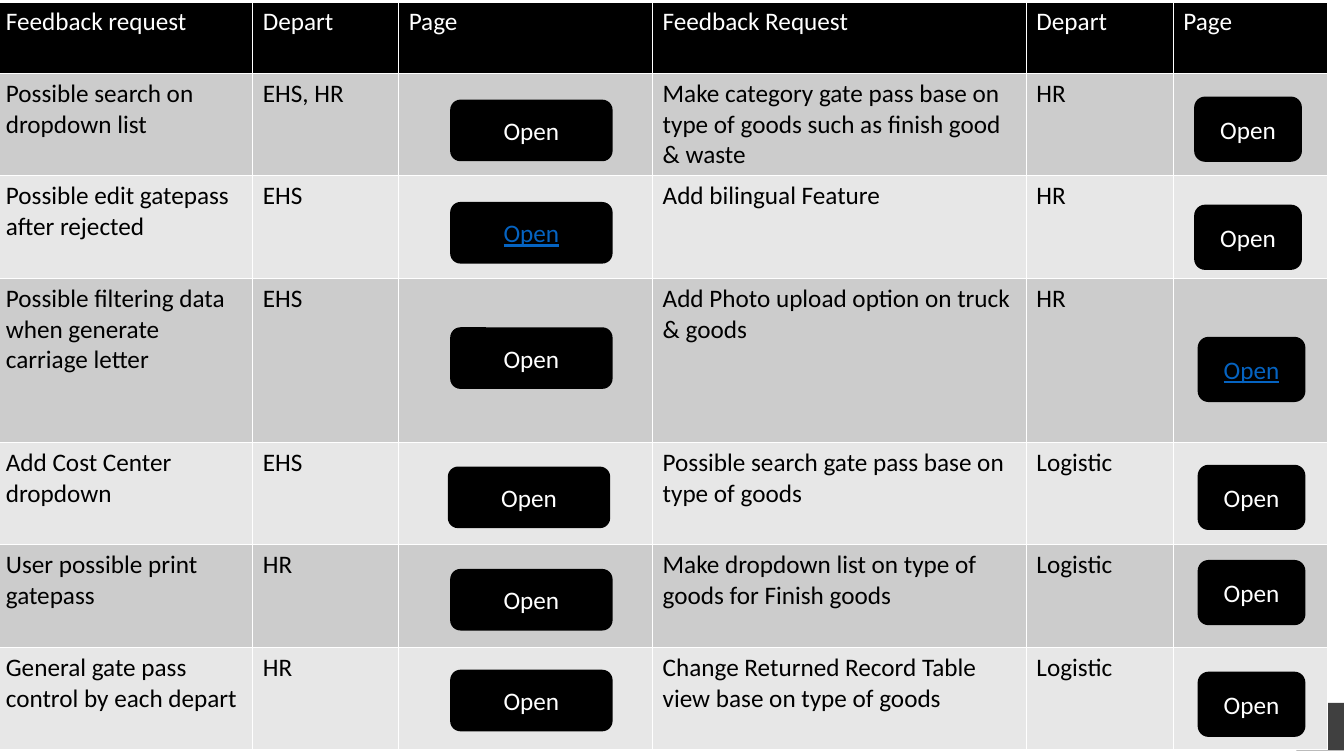
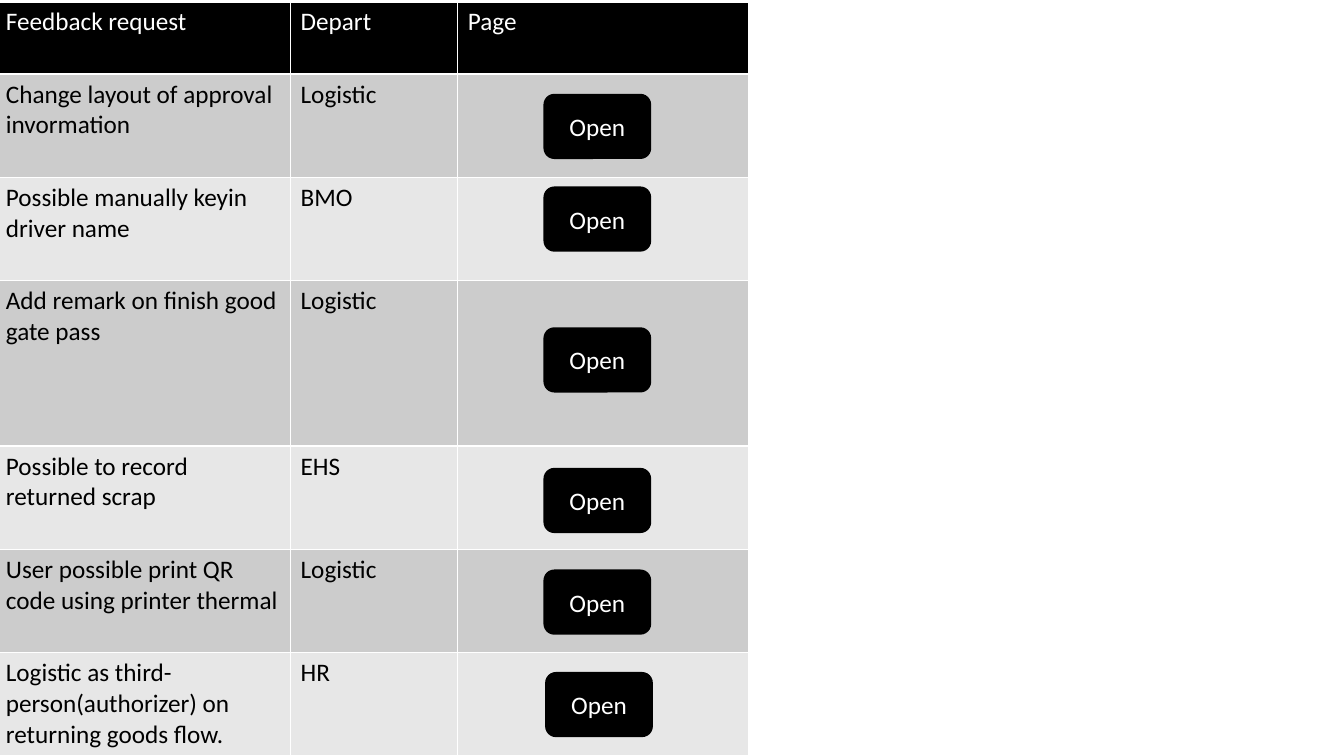
from pptx import Presentation
from pptx.dml.color import RGBColor
from pptx.enum.shapes import MSO_SHAPE
from pptx.enum.text import MSO_ANCHOR, PP_ALIGN
from pptx.util import Pt

BLACK, WHITE, LINK, GREY = "000000", "FFFFFF", "0563C1", "404040"
BANDS = ("CCCCCC", "E7E7E7")


def color(code):
    return RGBColor.from_string(code)


class Deck:
    """Holds the shared style and the slide being drawn."""

    def __init__(self):
        self.show = Presentation()
        self.show.slide_width, self.show.slide_height = Pt(960), Pt(540)
        self.font = {"name": "Calibri", "size": Pt(18), "bold": False}
        self.slide = None

    def page(self):
        self.slide = self.show.slides.add_slide(self.show.slide_layouts[6])

    def label(self, frame, text, code, **extra):
        par = frame.paragraphs[0]
        run = par.add_run()
        run.text = text
        for key, value in {**self.font, **extra}.items():
            setattr(run.font, key, value)
        run.font.color.rgb = color(code)
        return par

    def box(self, kind, left, top, width, height, code):
        shape = self.slide.shapes.add_shape(
            kind, Pt(left), Pt(top), Pt(width), Pt(height))
        shape.shadow.inherit = False
        shape.fill.solid()
        shape.fill.fore_color.rgb = color(code)
        shape.line.fill.background()
        return shape

    def button(self, left, top, width, height, link=False):
        frame = self.box(MSO_SHAPE.ROUNDED_RECTANGLE,
                         left, top, width, height, BLACK).text_frame
        frame.vertical_anchor = MSO_ANCHOR.MIDDLE
        extra = {"underline": True} if link else {}
        par = self.label(frame, "Open", LINK if link else WHITE, **extra)
        par.alignment = PP_ALIGN.CENTER

    def buttons(self, left, tops, width, height, shifts=None, link=None):
        shifts = shifts or {}
        for row, top in enumerate(tops):
            self.button(left + shifts.get(row, 0), top, width, height, row == link)

    def table(self, rows, widths, heights):
        grid = self.slide.shapes.add_table(
            len(rows), len(widths), Pt(-3), Pt(1.4),
            Pt(sum(widths)), Pt(sum(heights))).table
        for col, width in zip(grid.columns, widths):
            col.width = Pt(width)
        for num, (texts, height) in enumerate(zip(rows, heights)):
            grid.rows[num].height = Pt(height)
            back = BANDS[(num - 1) % 2] if num else BLACK
            for cell, text in zip(grid.rows[num].cells, texts):
                cell.fill.solid()
                cell.fill.fore_color.rgb = color(back)
                if text:
                    self.label(cell.text_frame, text, BLACK if num else WHITE)


def heights(head, row, tall):
    return [head, row, row, tall, row, row, row]


FIRST = [
    ("Feedback request", "Depart", "Page", "Feedback Request", "Depart", "Page"),
    ("Possible search on dropdown list", "EHS, HR", "",
     "Make category gate pass base on type of goods such as finish good & waste",
     "HR", ""),
    ("Possible edit gatepass after rejected", "EHS", "",
     "Add bilingual Feature", "HR", ""),
    ("Possible filtering data when generate carriage letter", "EHS", "",
     "Add Photo upload option on truck & goods", "HR", ""),
    ("Add Cost Center dropdown", "EHS", "",
     "Possible search gate pass base on type of goods", "Logistic", ""),
    ("User possible print gatepass", "HR", "",
     "Make dropdown list on type of goods for Finish goods", "Logistic", ""),
    ("General gate pass control by each depart", "HR", "",
     "Change Returned Record Table view base on type of goods", "Logistic", ""),
]
SECOND = [
    ("Feedback request", "Depart", "Page"),
    ("Change layout of approval invormation", "Logistic", ""),
    ("Possible manually keyin driver name", "BMO", ""),
    ("Add remark on finish good gate pass", "Logistic", ""),
    ("Possible to record returned scrap", "EHS", ""),
    ("User possible print QR code using printer thermal", "Logistic", ""),
    ("Logistic as third-person(authorizer) on returning goods flow.", "HR", ""),
]


def main():
    deck = Deck()
    wide, small = (116, 44), (77, 46.6)

    deck.page()
    deck.box(MSO_SHAPE.RECTANGLE, 926, 502, 34, 34, GREY)
    deck.table(FIRST, [183.6, 104.2, 181.4, 267, 105, 110], heights(51, 73.2, 117.2))
    deck.buttons(321.6, [71.2, 144.3, 233.8, 333.3, 406.4, 478.4], *wide,
                 shifts={3: -1.7}, link=1)
    deck.buttons(855.5, [69, 146.2, 240.6, 332, 400, 479.8], *small,
                 shifts={0: -2.5, 1: -2.5}, link=2)

    deck.page()
    deck.table(SECOND, [210.6, 119.4, 207.6], heights(51.5, 73.8, 118.2))
    deck.buttons(388.2, [67, 133.2, 233.8, 334.2, 406.8, 480], *small,
                 shifts={5: 1.2})

    deck.show.save("out.pptx")


if __name__ == "__main__":
    main()
